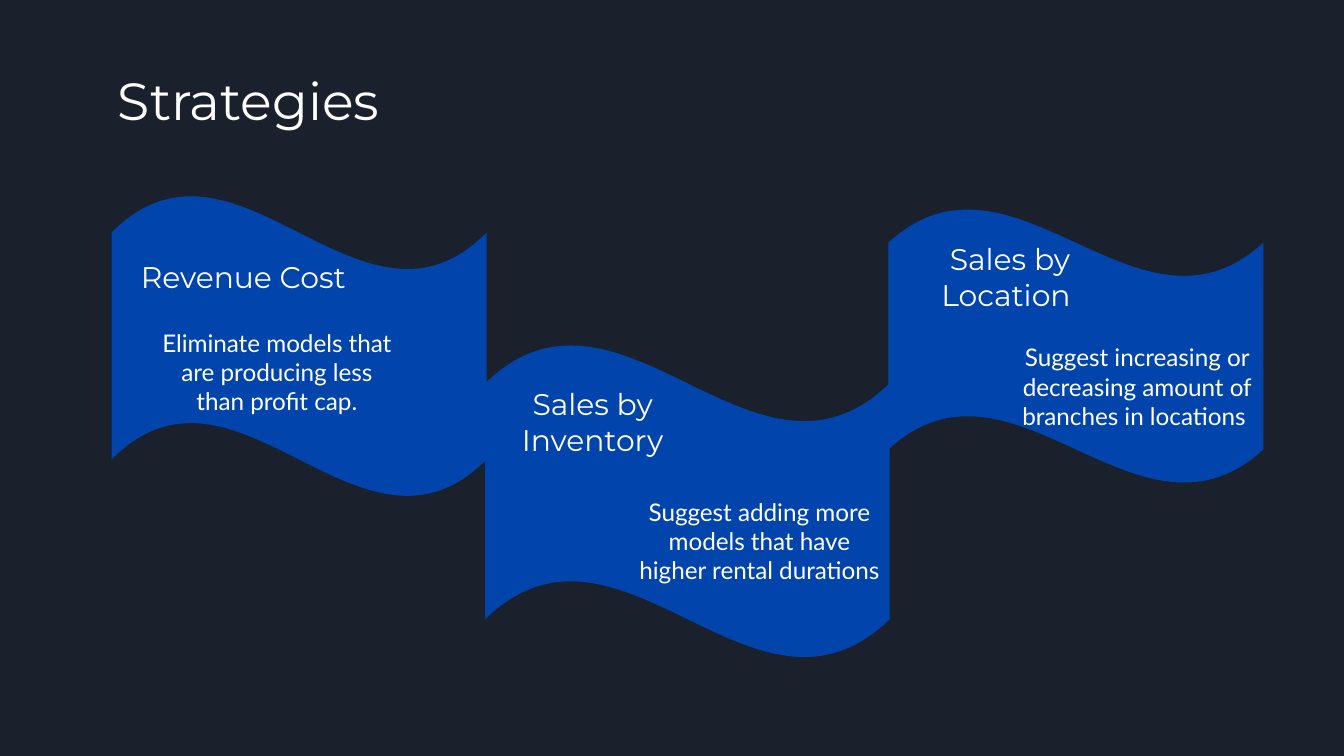
from dataclasses import dataclass

import pptx
import pptx.dml.color
import pptx.enum.shapes
import pptx.enum.text
import pptx.util
from pptx.util import Inches

NIGHT, BLUE, WHITE = "1B212C", "0145AC", "FFFFFF"
ALIGN = pptx.enum.text.PP_ALIGN
ANCHOR = pptx.enum.text.MSO_ANCHOR


@dataclass
class Box:
    left: float
    top: float
    width: float
    height: float

    def place(self) -> tuple:
        """Give the four lengths in the order that the add methods take."""
        return tuple(Inches(n) for n in (self.left, self.top, self.width, self.height))


@dataclass
class Plan:
    wave: Box
    head: str
    label: Box
    body: str
    note: Box


PLANS = [
    Plan(Box(0.83, 1.45, 2.79, 2.25),
         "Revenue Cost ", Box(0.9, 1.81, 1.88, 0.5),
         "Eliminate models that are producing less than profit cap.",
         Box(1.06, 2.34, 2, 1)),
    Plan(Box(6.61, 1.55, 2.79, 2.05),
         "Sales by Location ", Box(6.65, 1.81, 1.73, 0.5),
         "Suggest increasing or decreasing amount of branches in locations ",
         Box(7.46, 2.45, 2, 1)),
    Plan(Box(3.61, 2.56, 3.01, 2.34),
         "Sales by Inventory", Box(3.61, 2.89, 1.6, 0.5),
         "Suggest adding more models that have higher rental durations ",
         Box(4.65, 3.6, 2, 1)),
]


def paint(fill, shade: str) -> None:
    fill.solid()
    fill.fore_color.rgb = pptx.dml.color.RGBColor.from_string(shade)


def draw_wave(slide, box: Box) -> None:
    wave = slide.shapes.add_shape(pptx.enum.shapes.MSO_SHAPE.WAVE, *box.place())
    wave.adjustments[0] = 0.125
    wave.adjustments[1] = 0
    wave.shadow.inherit = False
    paint(wave.fill, BLUE)
    wave.line.fill.background()


def write(slide, box: Box, text: str, size: int, font: str,
          align=ALIGN.CENTER, anchor=ANCHOR.MIDDLE) -> None:
    frame = slide.shapes.add_textbox(*box.place()).text_frame
    frame.word_wrap = True
    frame.vertical_anchor = anchor
    frame.margin_left = frame.margin_right = Inches(0.1)
    frame.margin_top = frame.margin_bottom = Inches(0.1)
    frame.text = text
    line = frame.paragraphs[0]
    line.alignment = align
    for run in line.runs:
        run.font.name = font
        run.font.size = pptx.util.Pt(size)
        paint(run.font.fill, WHITE)


def main() -> None:
    deck = pptx.Presentation()
    deck.slide_width = Inches(10)
    deck.slide_height = deck.slide_width * 9 // 16
    slide = deck.slides.add_slide(deck.slide_layouts[6])
    paint(slide.background.fill, NIGHT)

    write(slide, Box(0.78, 0.43, 8.44, 0.63), "Strategies", 28, "Montserrat",
          align=ALIGN.LEFT)
    for plan in PLANS:
        draw_wave(slide, plan.wave)
        write(slide, plan.note, plan.body, 13, "Lato", anchor=ANCHOR.TOP)
    for plan in PLANS:
        write(slide, plan.label, plan.head, 16, "Montserrat")

    deck.save("out.pptx")


if __name__ == "__main__":
    main()
